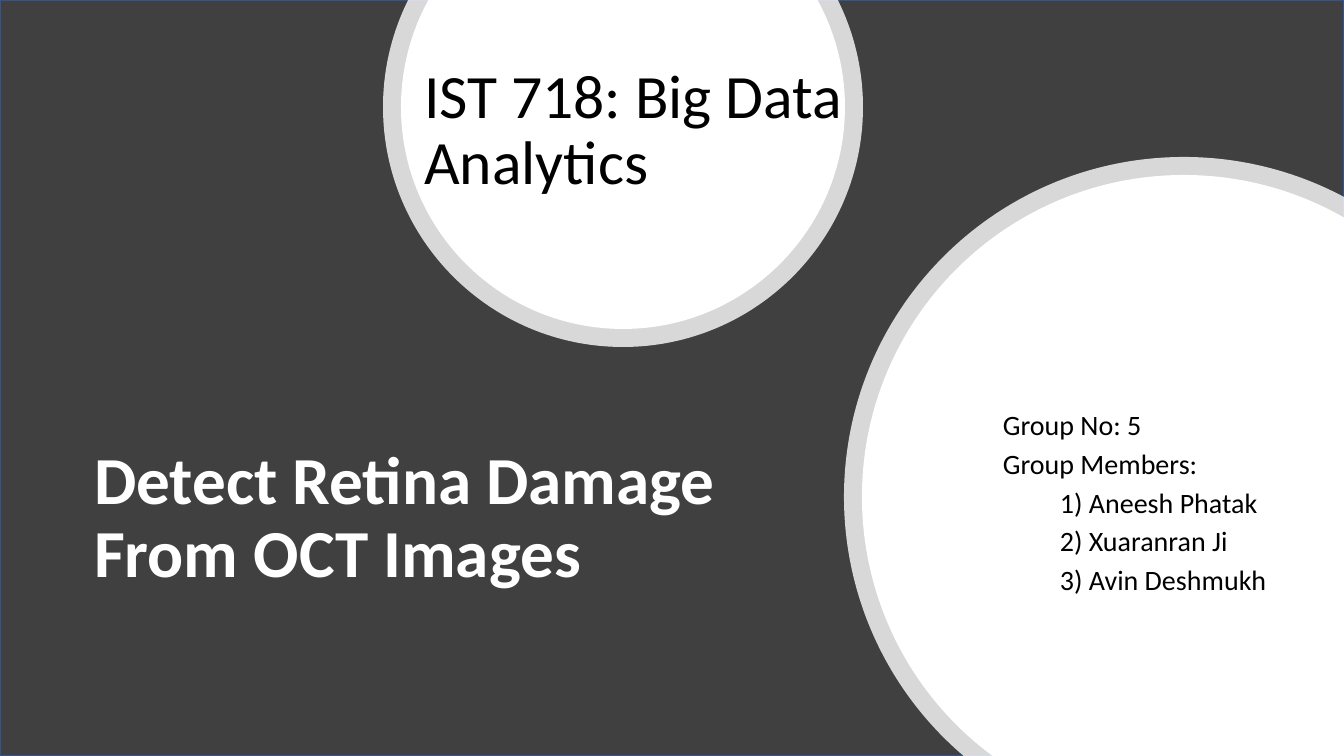
from dataclasses import dataclass
from math import acos, asin, cos, degrees, radians, sin, tan

from lxml.etree import SubElement
from pptx import Presentation
from pptx.dml.color import RGBColor
from pptx.enum.shapes import MSO_SHAPE as Preset
from pptx.enum.text import MSO_ANCHOR as Anchor, MSO_AUTO_SIZE as AutoSize, PP_ALIGN as Align
from pptx.oxml.ns import qn
from pptx.util import Emu, Pt

PAGE_W, PAGE_H = 1344, 756
COLORS = {
    "backdrop": "404040",
    "edge": "325491",
    "white": "FFFFFF",
    "black": "000000",
}


@dataclass
class Disc:
    x: int
    y: int
    radius: int
    at_corner: bool
    opacity: int = 100

    def span(self) -> tuple[float, float]:
        """Angles, clockwise from the right, where the page edges cut the disc."""
        if self.at_corner:
            start = 180 - degrees(asin((PAGE_H - self.y) / self.radius))
            return start, 360 - degrees(acos((PAGE_W - self.x) / self.radius))
        start = -degrees(asin(self.y / self.radius))
        return start, 180 - start

    def point(self, angle: float, tangent: float = 0) -> tuple[Emu, Emu]:
        """Point on the rim, moved along the tangent by a share of the radius."""
        turn = radians(angle)
        return (
            px(self.x + self.radius * (cos(turn) - tangent * sin(turn))),
            px(self.y + self.radius * (sin(turn) + tangent * cos(turn))),
        )


@dataclass
class TextStyle:
    size: int
    color: str
    bold: bool = False
    space_after: int = 0


# Each disc is a translucent ring with a smaller solid face on top
DISCS = [
    Disc(623, 107, 240, at_corner=False, opacity=80),
    Disc(1184, 497, 340, at_corner=True, opacity=80),
    Disc(623, 107, 222, at_corner=False),
    Disc(1184, 497, 322, at_corner=True),
]
GROUP_LINES = ["Group No: 5", "Group Members:"]
MEMBERS = ["1) Aneesh Phatak", "2) Xuaranran Ji", "3) Avin Deshmukh"]
MEMBER_INDENT = 57


def px(length: float) -> Emu:
    return Emu(round(length * 914400 / 100.8))


def color(name: str) -> RGBColor:
    return RGBColor.from_string(COLORS[name])


def place(shape, left: int, top: int, width: int, height: int) -> None:
    shape.left, shape.top = px(left), px(top)
    shape.width, shape.height = px(width), px(height)


def merge_into_curves(shape, count: int) -> None:
    """Turn the first 3 * count line segments into cubic curves."""
    lines = list(shape.element.iter(qn("a:lnTo")))
    for first in range(0, 3 * count, 3):
        trio = lines[first:first + 3]
        curve = trio[0].makeelement(qn("a:cubicBezTo"))
        trio[0].addprevious(curve)
        for line in trio:
            curve.append(line[0])
            line.getparent().remove(line)


def add_disc(page, disc: Disc) -> None:
    """Draw a disc cut off at the edges of the page."""
    start, end = disc.span()
    stops = [start, *(a for a in range(0, 360, 90) if start < a < end), end]
    points = []
    for here, there in zip(stops, stops[1:]):
        pull = 4 / 3 * tan(radians(there - here) / 4)
        points += [disc.point(here, pull), disc.point(there, -pull), disc.point(there)]
    if disc.at_corner:
        points.append((px(PAGE_W), px(PAGE_H)))
    builder = page.shapes.build_freeform(*disc.point(start))
    builder.add_line_segments(points, close=True)
    shape = builder.convert_to_shape()
    merge_into_curves(shape, len(stops) - 1)
    shape.shadow.inherit = False
    shape.line.fill.background()
    shape.fill.solid()
    shape.fill.fore_color.rgb = color("white")
    if disc.opacity < 100:
        tint = next(shape.element.iter(qn("a:srgbClr")))
        SubElement(tint, qn("a:alpha"), val=str(disc.opacity * 1000))


def write(box, lines: list[str], style: TextStyle, anchor: Anchor = Anchor.MIDDLE) -> None:
    frame = box.text_frame
    frame.word_wrap = True
    frame.auto_size = AutoSize.NONE
    frame.vertical_anchor = anchor
    frame.text = "\n".join(lines)
    for para in frame.paragraphs:
        para.alignment = Align.LEFT
        para.line_spacing = 0.9
        para.space_before = Pt(0)
        para.space_after = Pt(style.space_after)
        para.font.name = "Calibri"
        para.font.size = Pt(style.size)
        para.font.bold = style.bold
        para.font.color.rgb = color(style.color)


def bring_to_front(shape) -> None:
    shape.element.getparent().append(shape.element)


def main() -> None:
    deck = Presentation()
    deck.slide_width, deck.slide_height = px(PAGE_W), px(PAGE_H)
    page = deck.slides.add_slide(deck.slide_layouts[0])
    title, course = page.placeholders

    # Dark backdrop
    backdrop = page.shapes.add_shape(Preset.RECTANGLE, 0, 0, px(PAGE_W), px(PAGE_H))
    backdrop.shadow.inherit = False
    backdrop.fill.solid()
    backdrop.fill.fore_color.rgb = color("backdrop")
    backdrop.line.color.rgb = color("edge")
    backdrop.line.width = Pt(1)

    # Discs
    for disc in DISCS:
        add_disc(page, disc)

    # Project title
    place(title, 84, 386, 667, 267)
    write(title, ["Detect Retina Damage From OCT Images"], TextStyle(48, "white", bold=True))
    bring_to_front(title)

    # Course name in the upper disc
    place(course, 414, 65, 467, 201)
    write(course, ["IST 718: Big Data Analytics"], TextStyle(44, "black"), Anchor.TOP)
    course.text_frame.margin_top = 0
    bring_to_front(course)

    # Group and its members in the right disc
    group = page.shapes.add_textbox(px(993), px(351), px(383), px(306))
    write(group, GROUP_LINES + MEMBERS, TextStyle(20, "black", space_after=6))
    for para in group.text_frame.paragraphs[len(GROUP_LINES):]:
        para._p.get_or_add_pPr().set("marL", str(px(MEMBER_INDENT)))

    deck.save("out.pptx")


if __name__ == "__main__":
    main()
